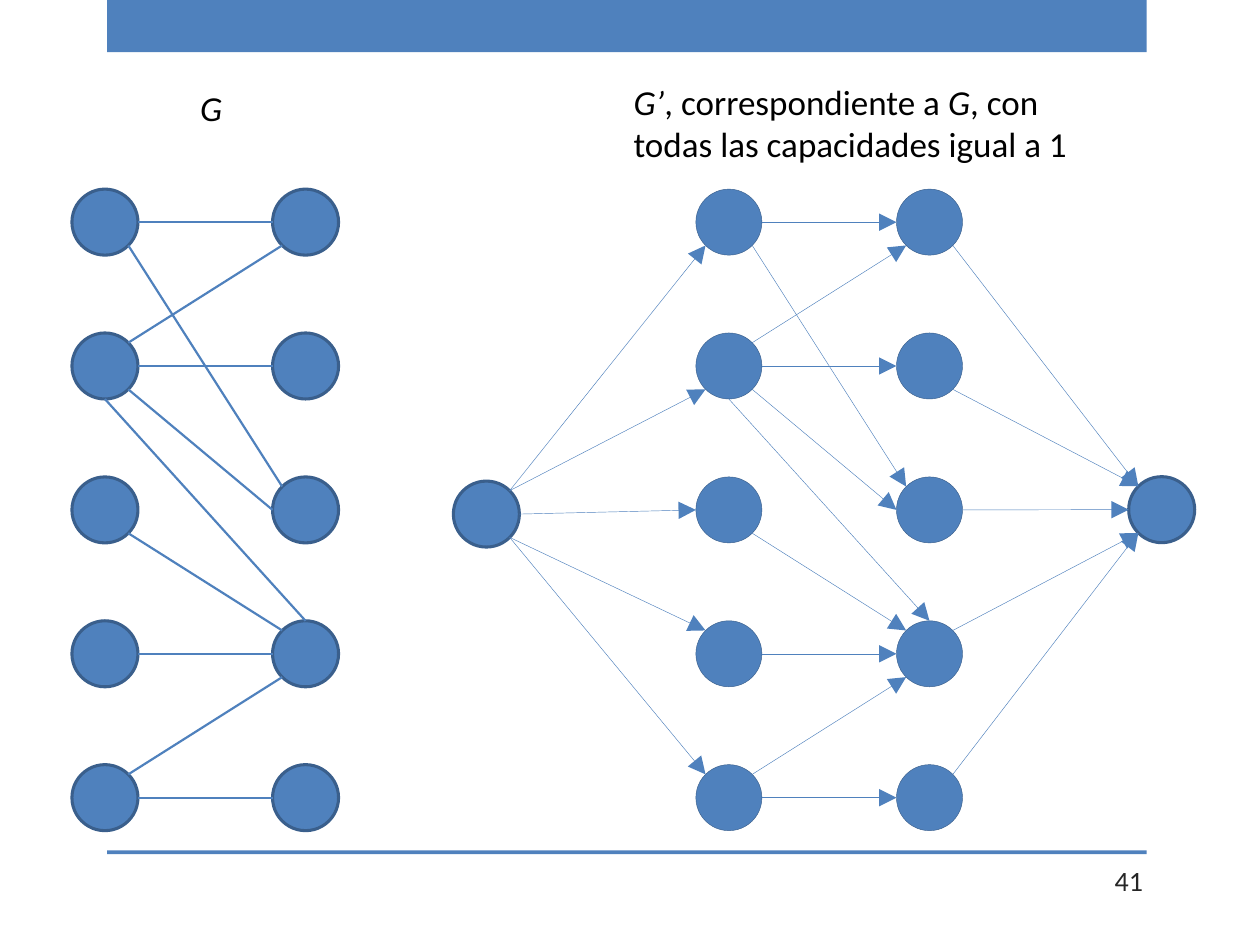
from lxml.etree import SubElement
from pptx import Presentation
from pptx.dml.color import RGBColor
from pptx.enum.shapes import MSO_CONNECTOR, MSO_SHAPE
from pptx.enum.text import MSO_ANCHOR, MSO_AUTO_SIZE, PP_ALIGN
from pptx.oxml.ns import qn
from pptx.util import Inches, Pt

BLUE, OUTLINE, BLACK, GRAY = "4F81BD", "3A5F8C", "000000", "262626"
COLUMNS, ROWS = 100, 75
DIAMETER = 5.24
DIAGONAL = 0.5 ** 0.5
SITES = {
    "N": (0, -1), "S": (0, 1), "E": (1, 0), "W": (-1, 0),
    "NE": (DIAGONAL, -DIAGONAL), "SE": (DIAGONAL, DIAGONAL),
    "NW": (-DIAGONAL, -DIAGONAL), "SW": (-DIAGONAL, DIAGONAL),
}
# left node, right node, start site, end site
MATCHING_EDGES = [
    (0, 0, "E", "W"), (1, 1, "E", "W"), (3, 3, "E", "W"), (4, 4, "E", "W"),
    (0, 2, "SE", "NW"), (1, 3, "S", "N"), (1, 0, "NE", "SW"),
    (1, 2, "SE", "W"), (2, 3, "SE", "NW"), (4, 3, "NE", "SW"),
]
# start and end sites of the edges between a terminal and each row of nodes
SOURCE_SITES = [("NE", "SW"), ("NE", "SW"), ("E", "W"), ("SE", "NW"), ("SE", "NW")]
SINK_SITES = [("SE", "NW"), ("SE", "NW"), ("E", "W"), ("NE", "SW"), ("NE", "SW")]


def color(value):
    return RGBColor.from_string(value)


class GraphSlide:
    """Places elements on a grid of 100 columns by 75 rows."""

    def __init__(self, presentation):
        self.font = "Calibri"
        self.slide = presentation.slides.add_slide(presentation.slide_layouts[6])
        self.column = presentation.slide_width / COLUMNS
        self.row = presentation.slide_height / ROWS

    def place(self, x, y):
        return round(x * self.column), round(y * self.row)

    def shape(self, kind, left, top, width, height, line_width=None):
        shape = self.slide.shapes.add_shape(
            kind, *self.place(left, top), *self.place(width, height))
        shape.shadow.inherit = False
        shape.fill.solid()
        shape.fill.fore_color.rgb = color(BLUE)
        if line_width is None:
            shape.line.fill.background()
        else:
            shape.line.color.rgb = color(OUTLINE)
            shape.line.width = Pt(line_width)

    def bar(self, top, height):
        self.shape(MSO_SHAPE.RECTANGLE, 8.5, top, 82.5, height)

    def node(self, center, line_width):
        x, y = center
        self.shape(MSO_SHAPE.OVAL, x - DIAMETER / 2, y - DIAMETER / 2,
                   DIAMETER, DIAMETER, line_width)

    def edge(self, start, end, start_site, end_site, line_width, arrow=False):
        """Joins the rims of two nodes, given by their centers."""
        points = []
        for (x, y), site in ((start, start_site), (end, end_site)):
            dx, dy = SITES[site]
            points += self.place(x + dx * DIAMETER / 2, y + dy * DIAMETER / 2)
        connector = self.slide.shapes.add_connector(MSO_CONNECTOR.STRAIGHT, *points)
        connector.line.color.rgb = color(BLUE)
        connector.line.width = Pt(line_width)
        if arrow:
            SubElement(connector.line._get_or_add_ln(), qn("a:tailEnd"),
                       type="triangle", w="lg", len="lg")
        SubElement(connector._element.spPr, qn("a:effectLst"))

    def text(self, box, lines, size, text_color, alignment=PP_ALIGN.LEFT, **frame_format):
        """Each line is a list of (text, italic) pairs."""
        left, top, width, height = box
        text_box = self.slide.shapes.add_textbox(
            *self.place(left, top), *self.place(width, height))
        frame = text_box.text_frame
        for name, value in frame_format.items():
            setattr(frame, name, value)
        for index, line in enumerate(lines):
            paragraph = frame.add_paragraph() if index else frame.paragraphs[0]
            paragraph.alignment = alignment
            for text, italic in line:
                run = paragraph.add_run()
                run.text = text
                run_format = {"name": self.font, "size": Pt(size), "italic": italic}
                for name, value in run_format.items():
                    setattr(run.font, name, value)
                run.font.color.rgb = color(text_color)

    def bipartite_graph(self, left_x, node_line, edge_line, arrow=False):
        """Draws both sets of nodes with their edges; returns the centers."""
        left, right = [[(x, 17.63 + 11.42 * row) for row in range(5)]
                       for x in (left_x, left_x + 15.92)]
        for center in left + right:
            self.node(center, node_line)
        for start, end, start_site, end_site in MATCHING_EDGES:
            self.edge(left[start], right[end], start_site, end_site, edge_line, arrow)
        return left, right


def main():
    presentation = Presentation()
    presentation.slide_width, presentation.slide_height = Inches(10), Inches(7.5)
    graph = GraphSlide(presentation)

    graph.bar(0, 4.15)
    graph.bar(67.5, 0.3)
    graph.text((83.4, 67.9, 8.3, 4), [[("41", False)]], 16, GRAY, PP_ALIGN.RIGHT,
               word_wrap=True, vertical_anchor=MSO_ANCHOR.MIDDLE)

    graph.bipartite_graph(8.33, 1.75, 1.25)
    left, right = graph.bipartite_graph(57.85, 0.25, 0.25, arrow=True)

    source, sink = (38.6, 40.8), (92.2, 40.45)
    for terminal in (source, sink):
        graph.node(terminal, 1.75)
    for center, sites in zip(left, SOURCE_SITES):
        graph.edge(source, center, *sites, 0.25, arrow=True)
    for center, sites in zip(right, SINK_SITES):
        graph.edge(center, sink, *sites, 0.25, arrow=True)

    label_format = {"word_wrap": False, "auto_size": MSO_AUTO_SIZE.SHAPE_TO_FIT_TEXT}
    graph.text((14.9, 6.4, 3.8, 4.4), [[("G", True)]], 20, BLACK, **label_format)
    graph.text((49.3, 5.9, 36.8, 7.7), [
        [("G’", True), (", correspondiente a ", False), ("G", True), (", con", False)],
        [("todas las capacidades igual a 1", False)],
    ], 20, BLACK, **label_format)
    presentation.save("out.pptx")


if __name__ == "__main__":
    main()
